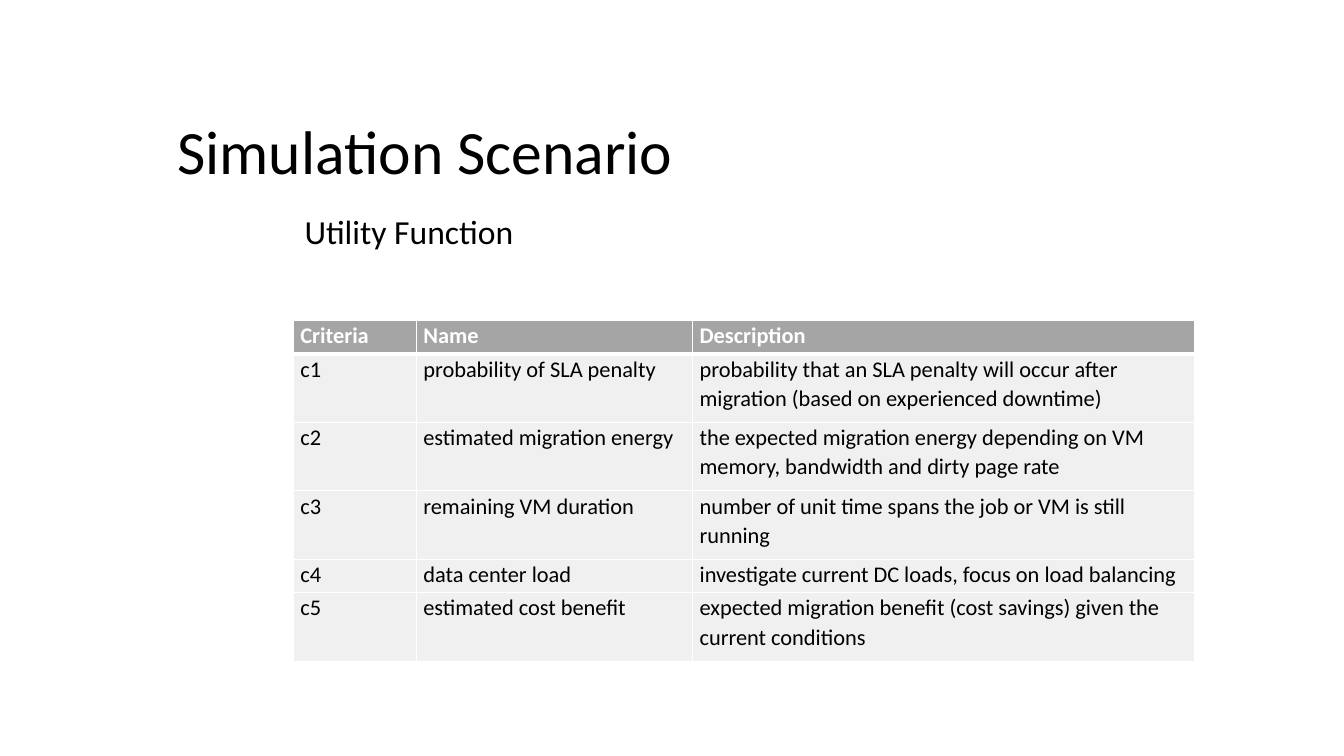
from dataclasses import dataclass

from lxml.etree import SubElement
from pptx import Presentation
from pptx.dml.color import RGBColor
from pptx.enum.text import MSO_ANCHOR, MSO_AUTO_SIZE, PP_ALIGN
from pptx.oxml.ns import qn
from pptx.util import Emu, Pt

PX = 9144  # one px is a hundredth of an inch


def px(count):
    return Emu(count * PX)


@dataclass(frozen=True)
class Theme:
    font: str = "Calibri"
    ink: str = "000000"
    paper: str = "FFFFFF"
    head: str = "A5A5A5"
    band: str = "F0F0F0"
    title: int = 44
    body: int = 24
    cell: int = 16
    thin: int = 1
    thick: int = 3


class Deck:
    def __init__(self, theme):
        self.theme = theme
        self.show = Presentation()
        self.show.slide_width, self.show.slide_height = px(1333), px(750)
        self.slide = self.show.slides.add_slide(self.show.slide_layouts[1])

    def style(self, para, size, color, space, bold=False):
        font = para.font
        font.name, font.size, font.bold = self.theme.font, Pt(size), bold
        font.color.rgb = RGBColor.from_string(color)
        para.line_spacing = space
        para.alignment = PP_ALIGN.LEFT

    def place(self, holder, box, text, size):
        """Move a placeholder, fill it and return its paragraph."""
        holder.left, holder.top, holder.width, holder.height = map(px, box)
        frame = holder.text_frame
        frame.text = text
        frame.auto_size = MSO_AUTO_SIZE.NONE
        para = frame.paragraphs[0]
        self.style(para, size, self.theme.ink, 0.9)
        return para

    def title(self, box, text):
        holder = self.slide.shapes.title
        self.place(holder, box, text, self.theme.title)
        holder.text_frame.vertical_anchor = MSO_ANCHOR.MIDDLE

    def body(self, box, text):
        para = self.place(self.slide.placeholders[1], box, text, self.theme.body)
        para.level = 1
        para.space_before = Pt(5)
        props = para._p.get_or_add_pPr()
        props.set("marL", str(px(50)))
        props.set("indent", "0")
        SubElement(props, qn("a:buNone"))

    def edge(self, cell, side, width):
        line = SubElement(cell._tc.get_or_add_tcPr(), qn(f"a:ln{side}"), w=str(Pt(width)))
        fill = SubElement(line, qn("a:solidFill"))
        SubElement(fill, qn("a:srgbClr"), val=self.theme.paper)

    def cell(self, cell, text, row):
        look, head = self.theme, row == 0
        cell.text = text
        cell.margin_left = cell.margin_right = px(7)
        cell.margin_top = cell.margin_bottom = 0
        color = look.paper if head else look.ink
        self.style(cell.text_frame.paragraphs[0], look.cell, color, 1.07, head)
        heavy = {(0, "B"), (1, "T")}
        for side in "LRTB":
            self.edge(cell, side, look.thick if (row, side) in heavy else look.thin)
        cell.fill.solid()
        cell.fill.fore_color.rgb = RGBColor.from_string(look.head if head else look.band)

    def table(self, left, top, widths, heights, rows):
        box = map(px, (left, top, sum(widths), sum(heights)))
        grid = self.slide.shapes.add_table(len(rows), len(widths), *box).table
        for col, width in zip(grid.columns, widths):
            col.width = px(width)
        for row, (height, texts) in enumerate(zip(heights, rows)):
            grid.rows[row].height = px(height)
            for col, text in enumerate(texts):
                self.cell(grid.cell(row, col), text, row)


CRITERIA = [
    ("Criteria", "Name", "Description"),
    ("c1", "probability of SLA penalty",
     "probability that an SLA penalty will occur after migration "
     "(based on experienced downtime)"),
    ("c2", "estimated migration energy",
     "the expected migration energy depending on VM memory, "
     "bandwidth and dirty page rate"),
    ("c3", "remaining VM duration",
     "number of unit time spans the job or VM is still running"),
    ("c4", "data center load",
     "investigate current DC loads, focus on load balancing"),
    ("c5", "estimated cost benefit",
     "expected migration benefit (cost savings) given the current conditions"),
]


def main():
    deck = Deck(Theme())
    deck.title((166, 57, 1096, 192), "Simulation Scenario")
    deck.body((242, 209, 943, 518), "Utility Function")
    one, two = 33, 68  # heights of rows with one and two lines
    deck.table(291, 318, (122, 274, 498), (one, two, two, two, one, two), CRITERIA)
    deck.show.save("out.pptx")


if __name__ == "__main__":
    main()
